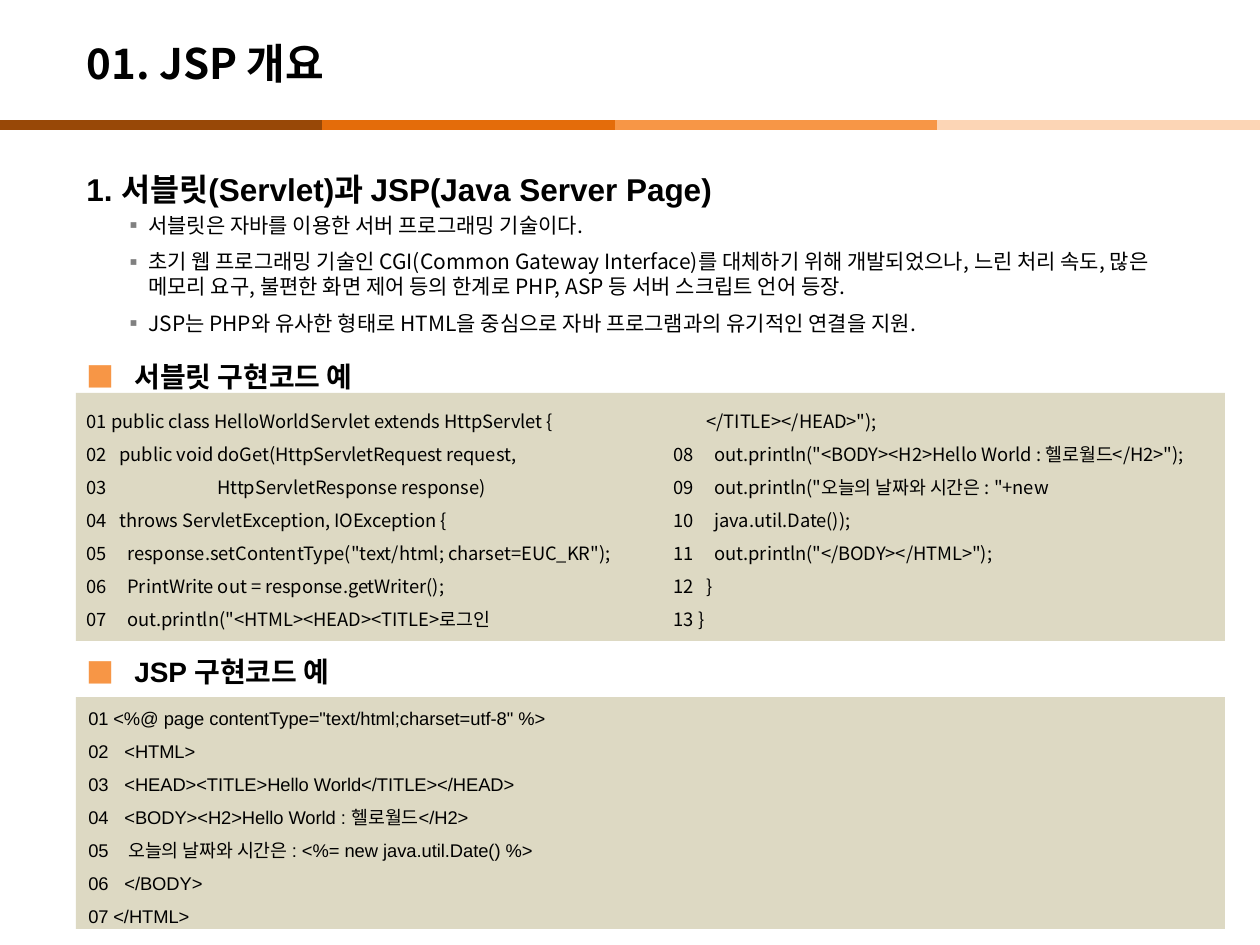
"""Build the JSP overview slide with servlet and JSP code samples."""
from dataclasses import dataclass
from itertools import pairwise

from lxml import etree
from pptx import Presentation
from pptx import util as u
from pptx.dml.color import RGBColor
from pptx.enum import shapes, text
from pptx.oxml.ns import qn

SCALE = 914400 / 126
SANS, LATIN = "Noto Sans CJK KR", "Arial"
COLORS = {
    "black": "000000", "gray": "808080", "panel": "DDD9C3", "marker": "F79646",
    "brown": "984807", "orange": "E46C0A", "light orange": "F79646", "peach": "FCD5B5",
}


@dataclass(frozen=True)
class Box:
    left: int
    top: int
    width: int
    height: int


@dataclass(frozen=True)
class Style:
    size: float
    font: str
    bold: bool = False
    spacing: float = 1.0
    before: float = 0
    after: float = 0
    margin: int = 0
    hanging: int = 0
    bullet: str = ""
    bullet_color: str = "black"


@dataclass(frozen=True)
class CodeLine:
    number: str
    offset: int
    code: str


HEADING = Style(18, LATIN, bold=True, spacing=1.5)
POINT = Style(12, SANS, before=2.4, after=4, margin=62, hanging=25, bullet="▪", bullet_color="gray")
SUBHEADING = Style(16, LATIN, bold=True, spacing=1.5, margin=48, hanging=48,
                   bullet="■", bullet_color="marker")
BAR_EDGES = (0, 322, 615, 937, 1260)
BAR_COLORS = ("brown", "orange", "light orange", "peach")
PANELS = (Box(76, 697, 1149, 232), Box(76, 393, 1149, 248))
INTRO = [
    ("1. 서블릿(Servlet)과 JSP(Java Server Page)", HEADING),
    ("서블릿은 자바를 이용한 서버 프로그래밍 기술이다.", POINT),
    ("초기 웹 프로그래밍 기술인 CGI(Common Gateway Interface)를 대체하기 위해 개발되었으나, "
     "느린 처리 속도, 많은 메모리 요구, 불편한 화면 제어 등의 한계로 PHP, ASP 등 서버 스크립트 언어 등장.", POINT),
    ("JSP는 PHP와 유사한 형태로 HTML을 중심으로 자바 프로그램과의 유기적인 연결을 지원.", POINT),
    ("서블릿 구현코드 예", SUBHEADING),
]
SERVLET_CODE = [
    CodeLine("01", 25, "public class HelloWorldServlet extends HttpServlet {"),
    CodeLine("02", 33, "public void doGet(HttpServletRequest request,"),
    CodeLine("03", 131, "HttpServletResponse response)"),
    CodeLine("04", 33, "throws ServletException, IOException {"),
    CodeLine("05", 41, 'response.setContentType("text/html; charset=EUC_KR");'),
    CodeLine("06", 41, "PrintWrite out = response.getWriter();"),
    CodeLine("07", 41, 'out.println("<HTML><HEAD><TITLE>로그인'),
    CodeLine("", 33, '</TITLE></HEAD>");'),
    CodeLine("08", 41, 'out.println("<BODY><H2>Hello World : 헬로월드</H2>");'),
    CodeLine("09", 41, 'out.println("오늘의 날짜와 시간은 : "+new'),
    CodeLine("10", 41, "java.util.Date());"),
    CodeLine("11", 41, 'out.println("</BODY></HTML>");'),
    CodeLine("12", 33, "}"),
    CodeLine("13", 25, "}"),
]
JSP_CODE = [
    CodeLine("01", 25, '<%@ page contentType="text/html;charset=utf-8" %>'),
    CodeLine("02", 36, "<HTML>"),
    CodeLine("03", 36, "<HEAD><TITLE>Hello World</TITLE></HEAD>"),
    CodeLine("04", 36, "<BODY><H2>Hello World : 헬로월드</H2>"),
    CodeLine("05", 40, "오늘의 날짜와 시간은 : <%= new java.util.Date() %>"),
    CodeLine("06", 36, "</BODY>"),
    CodeLine("07", 25, "</HTML>"),
]


def px(length: int) -> u.Emu:
    """Turn pixels into EMU."""
    return u.Emu(round(length * SCALE))


def frame(box: Box) -> tuple:
    """Return the box as EMU lengths."""
    return px(box.left), px(box.top), px(box.width), px(box.height)


def color(name: str) -> RGBColor:
    """Look up a named colour."""
    return RGBColor.from_string(COLORS[name])


def format_paragraph(paragraph, style: Style) -> None:
    """Apply spacing, indents, bullet and run fonts."""
    paragraph.alignment = text.PP_ALIGN.LEFT
    paragraph.line_spacing = style.spacing
    paragraph.space_before = u.Pt(style.before)
    paragraph.space_after = u.Pt(style.after)
    properties = paragraph._p.get_or_add_pPr()
    properties.set("marL", str(px(style.margin)))
    properties.set("indent", str(px(-style.hanging)))
    if style.bullet:
        bullet_color = etree.SubElement(properties, qn("a:buClr"))
        etree.SubElement(bullet_color, qn("a:srgbClr"), val=COLORS[style.bullet_color])
        etree.SubElement(properties, qn("a:buFont"), typeface=SANS)
        etree.SubElement(properties, qn("a:buChar"), char=style.bullet)
    for run in paragraph.runs:
        run.font.size = u.Pt(style.size)
        run.font.name = style.font
        run.font.bold = style.bold
        run.font.color.rgb = color("black")
        etree.SubElement(run._r.get_or_add_rPr(), qn("a:ea"), typeface=SANS)


def add_text(slide, box: Box, lines: list[tuple[str, Style]], columns: int = 1) -> None:
    """Add a text box holding styled paragraphs."""
    text_frame = slide.shapes.add_textbox(*frame(box)).text_frame
    text_frame.word_wrap = True
    if columns > 1:
        body = text_frame._txBody.bodyPr
        body.set("numCol", str(columns))
        body.set("spcCol", str(px(25)))
    text_frame.text = "\n".join(line for line, _ in lines)
    for paragraph, (_, style) in zip(text_frame.paragraphs, lines):
        format_paragraph(paragraph, style)


def add_code(slide, box: Box, lines: list[CodeLine], font: str, columns: int = 1) -> None:
    """Add numbered code lines, each indented by its offset."""
    styled = [
        (f"{line.number}\t{line.code}" if line.number else line.code,
         Style(10.5, font, spacing=1.5, margin=line.offset,
               hanging=line.offset if line.number else 0))
        for line in lines
    ]
    add_text(slide, box, styled, columns)


def add_bar(slide, start: int, end: int, name: str) -> None:
    """Add one segment of the divider."""
    bar = slide.shapes.add_connector(
        shapes.MSO_CONNECTOR.STRAIGHT, px(start), px(125), px(end), px(125))
    bar.line.color.rgb = color(name)
    bar.line.width = u.Pt(6)
    etree.SubElement(bar._element.spPr, qn("a:effectLst"))


def add_panel(slide, box: Box) -> None:
    """Add a code background."""
    panel = slide.shapes.add_shape(shapes.MSO_SHAPE.RECTANGLE, *frame(box))
    panel.shadow.inherit = False
    panel.fill.solid()
    panel.fill.fore_color.rgb = color("panel")
    panel.line.fill.background()


def main() -> None:
    """Build and save the presentation."""
    presentation = Presentation()
    presentation.slide_width, presentation.slide_height = px(1260), px(945)
    slide = presentation.slides.add_slide(presentation.slide_layouts[5])
    title = slide.shapes.title
    title.left, title.top, title.width, title.height = frame(Box(74, 25, 1042, 76))
    title.text_frame.text = "01. JSP 개요"
    title.text_frame.vertical_anchor = text.MSO_ANCHOR.MIDDLE
    format_paragraph(title.text_frame.paragraphs[0], Style(24, SANS, bold=True))
    for (start, end), name in zip(pairwise(BAR_EDGES), BAR_COLORS):
        add_bar(slide, start, end, name)
    for panel in PANELS:
        add_panel(slide, panel)
    add_text(slide, Box(74, 145, 1131, 250), INTRO)
    add_text(slide, Box(74, 632, 1131, 60), [("JSP 구현코드 예", SUBHEADING)])
    add_code(slide, Box(74, 393, 1174, 248), SERVLET_CODE, SANS, columns=2)
    add_code(slide, Box(76, 690, 1184, 245), JSP_CODE, LATIN)
    presentation.save("out.pptx")


if __name__ == "__main__":
    main()
